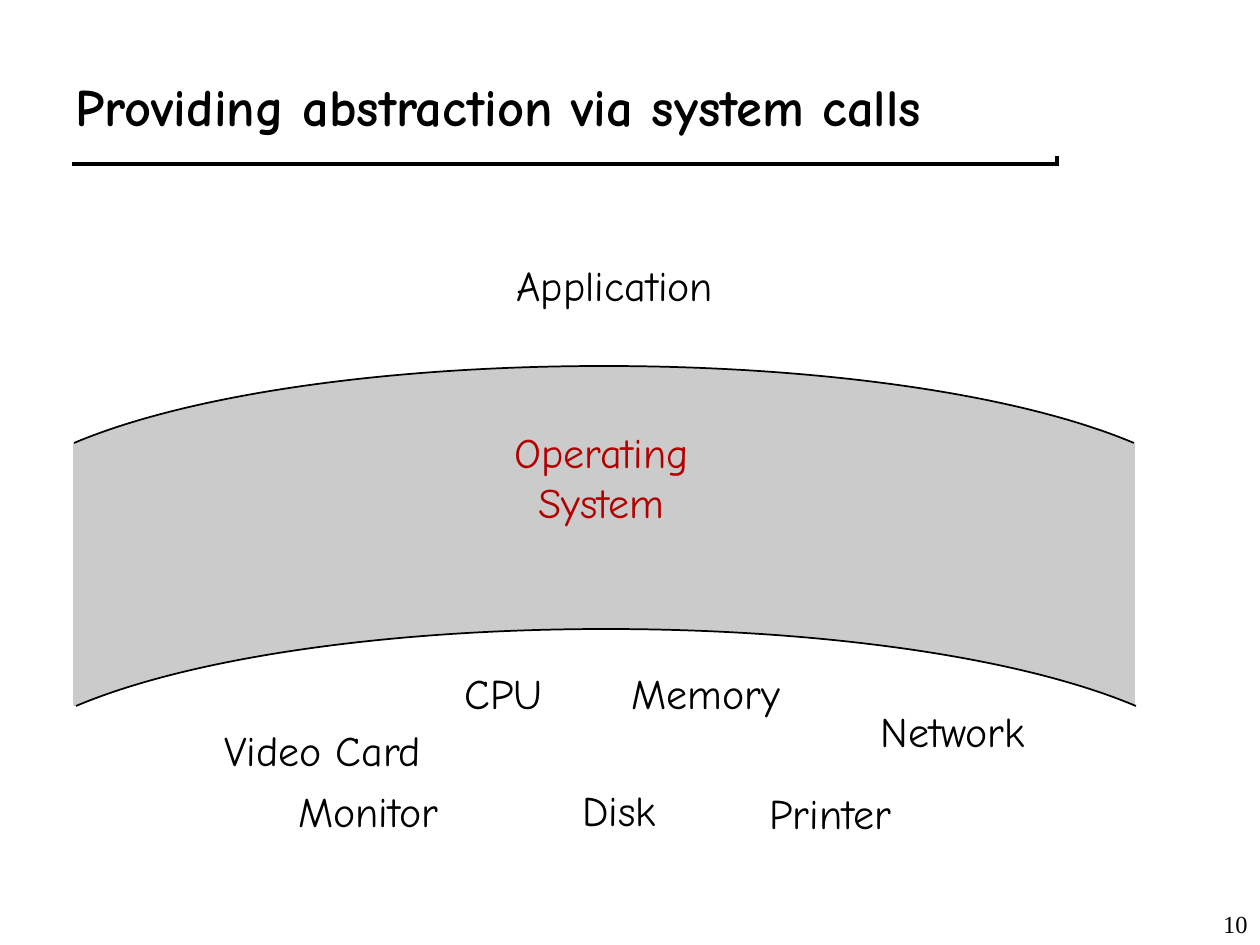
from copy import deepcopy
from dataclasses import dataclass
from lxml.etree import SubElement
from pptx import Presentation
from pptx.dml.color import RGBColor
from pptx.enum.shapes import MSO_CONNECTOR, MSO_SHAPE
from pptx.enum.text import MSO_ANCHOR, MSO_AUTO_SIZE, PP_ALIGN
from pptx.oxml.ns import qn
from pptx.util import Pt


@dataclass(frozen=True)
class Theme:
    ink: str = "000000"
    paper: str = "FFFFFF"
    band: str = "CBCBCB"
    accent: str = "B20000"
    face: str = "Comic Neue"
    serif: str = "Times New Roman"
    head: int = 30
    body: int = 24
    small: int = 14


THEME = Theme()
SCALE = 914400 / 126
LEFT = [(-530, -91), (-414, -140), (-215, -168)]
CURVE = LEFT + [(0, -168)] + [(-x, y) for x, y in reversed(LEFT)]
LABELS = [
    ("Video Card", 212, 718, 223),
    ("CPU", 452, 661, 106),
    ("Monitor", 286, 779, 166),
    ("Printer", 757, 781, 147),
    ("Disk", 570, 778, 102),
    ("Memory", 619, 661, 174),
    ("Network", 868, 699, 170),
    ("Application", 504, 253, 222),
]


def px(num):
    return round(num * SCALE)


def paint(shape, fill, line):
    shape.shadow.inherit = False
    shape.fill.solid()
    shape.fill.fore_color.rgb = RGBColor.from_string(fill)
    shape.line.color.rgb = RGBColor.from_string(line)
    shape.line.width = Pt(1)


def add_rule(slide, x, y, width, color):
    rule = slide.shapes.add_connector(
        MSO_CONNECTOR.STRAIGHT, px(x), px(y), px(x + width), px(y))
    rule.line.color.rgb = RGBColor.from_string(color)
    rule.line.width = Pt(6)
    rule.line._get_or_add_ln().set("cap", "sq")
    SubElement(rule._element.spPr, qn("a:effectLst"))


def add_band(slide, x, y, width, height):
    band = slide.shapes.add_shape(
        MSO_SHAPE.RECTANGLE, px(x), px(y), px(width), px(height))
    paint(band, THEME.band, THEME.band)


def add_arc(slide, x, y, fill):
    first, *rest = [(px(x + dx), px(y + dy)) for dx, dy in CURVE]
    pen = slide.shapes.build_freeform(*first)
    pen.add_line_segments(rest + [(px(x), px(y))], close=True)
    arc = pen.convert_to_shape()
    paint(arc, fill, THEME.ink)
    wedge = arc._element.find(".//" + qn("a:path"))
    lines = list(wedge)[1:7]
    for group in (lines[:3], lines[3:]):
        bend = SubElement(wedge, qn("a:cubicBezTo"))
        group[0].addprevious(bend)
        for line in group:
            bend.append(line[0])
            wedge.remove(line)
    edge = deepcopy(wedge)
    for part in edge[-2:]:
        edge.remove(part)
    edge.set("fill", "none")
    wedge.set("stroke", "0")
    wedge.addprevious(edge)


def add_text(slide, text, x, y, width, height, size=THEME.body,
             face=THEME.face, color=THEME.ink, bold=False, wrap=True,
             align=PP_ALIGN.LEFT, anchor=MSO_ANCHOR.TOP, before=0, grow=False):
    box = slide.shapes.add_textbox(px(x), px(y), px(width), px(height))
    frame = box.text_frame
    frame.word_wrap = wrap
    frame.vertical_anchor = anchor
    if grow:
        frame.auto_size = MSO_AUTO_SIZE.SHAPE_TO_FIT_TEXT
    para = frame.paragraphs[0]
    para.text = text
    para.alignment = align
    para.space_before = Pt(before)
    para.font.size = Pt(size)
    para.font.name = face
    para.font.bold = bold
    para.font.color.rgb = RGBColor.from_string(color)


def main():
    deck = Presentation()
    deck.slide_width, deck.slide_height = px(1260), px(945)
    slide = deck.slides.add_slide(deck.slide_layouts[6])
    add_rule(slide, 77, 161, 977, THEME.ink)
    add_rule(slide, 73, 157, 977, THEME.paper)
    add_band(slide, 74, 444, 1060, 261)
    add_text(slide, "Providing abstraction via system calls", 63, 43, 1081, 126,
             size=THEME.head, bold=True, anchor=MSO_ANCHOR.MIDDLE)
    add_arc(slide, 604, 534, THEME.band)
    add_arc(slide, 606, 797, THEME.paper)
    add_text(slide, "Operating System", 483, 420, 237, 113, color=THEME.accent,
             align=PP_ALIGN.CENTER, before=15, grow=True)
    for text, x, y, width in LABELS:
        add_text(slide, text, x, y, width, 63, wrap=False, grow=True)
    add_text(slide, "10", 998, 882, 262, 63, size=THEME.small,
             face=THEME.serif, align=PP_ALIGN.RIGHT, anchor=MSO_ANCHOR.BOTTOM)
    deck.save("out.pptx")


if __name__ == "__main__":
    main()
